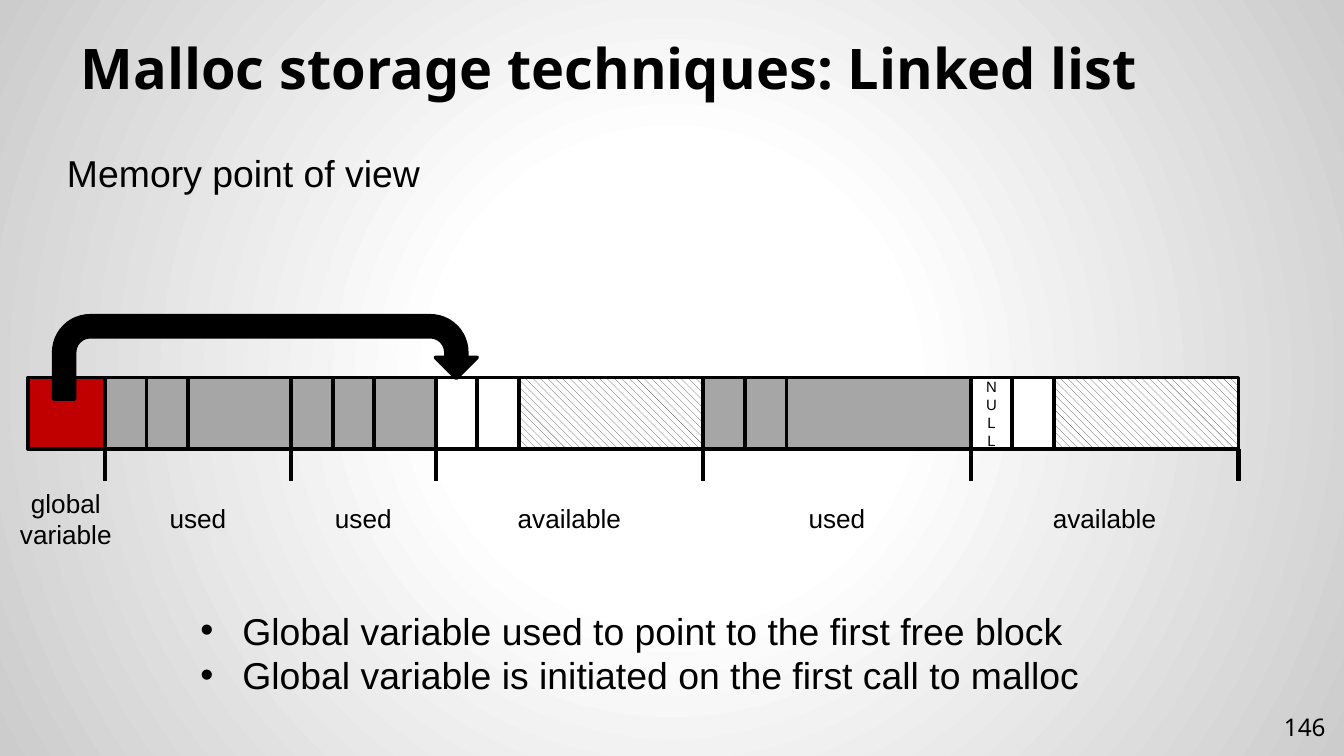
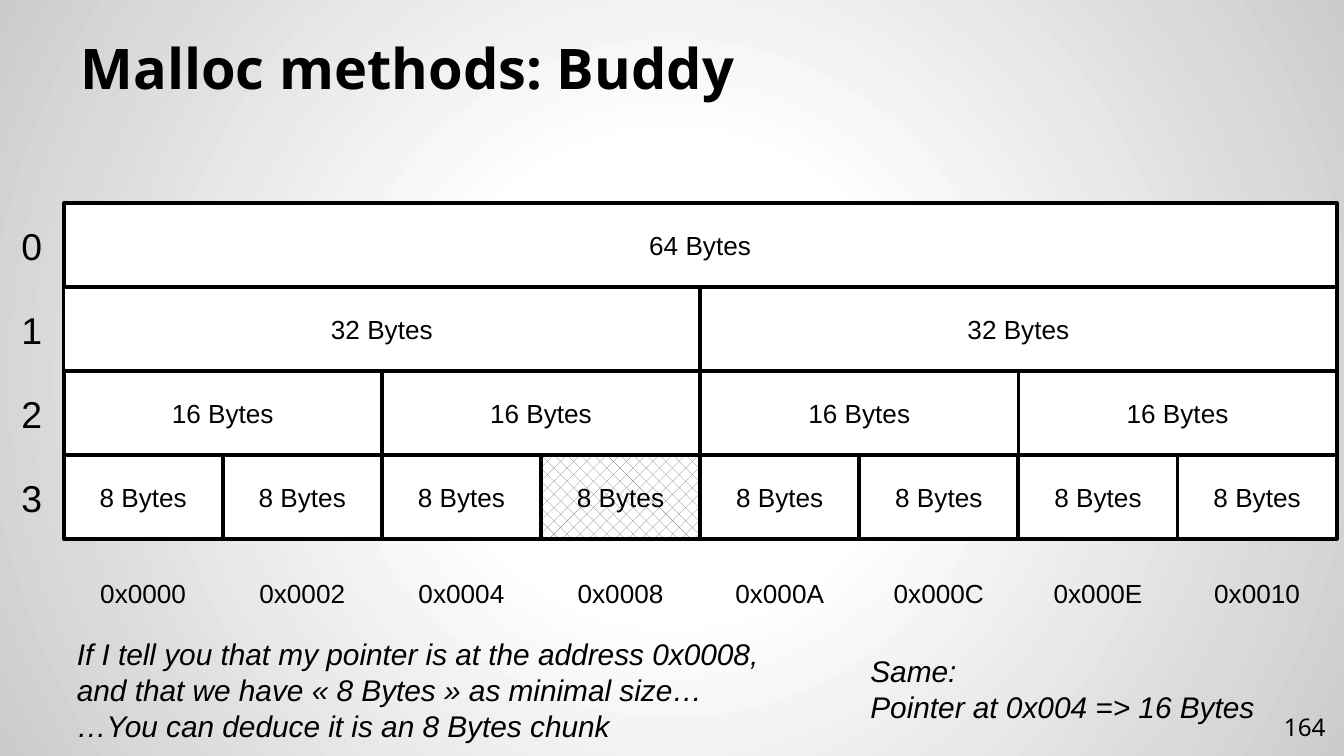
from dataclasses import dataclass

from lxml import etree
from pptx import Presentation
from pptx import util as u
from pptx.dml import color
from pptx.enum import dml, shapes, text
from pptx.oxml import ns

Pt = u.Pt
Rgb = color.RGBColor.from_string
Pat = dml.MSO_PATTERN
Mid = text.MSO_ANCHOR.MIDDLE
Left, Mean, Right = text.PP_ALIGN.LEFT, text.PP_ALIGN.CENTER, text.PP_ALIGN.RIGHT


@dataclass(frozen=True)
class Theme:
    ink: str = "000000"
    white: str = "FFFFFF"
    edge: str = "CCCCCC"
    used: str = "A6A6A6"
    root: str = "C00000"
    hatch: str = "4D4D4D"
    mesh: str = "808080"
    head: str = "Noto Sans"
    body: str = "Arial"
    title: float = 30
    large: float = 20
    note: float = 16
    label: float = 14
    page: float = 13
    tiny: float = 8
    line: float = 2
    tick: float = 2.25


def add(node, tag, **attrs):
    return etree.SubElement(node, ns.qn(tag), **attrs)


class Deck:
    def __init__(self, theme):
        self.theme = theme
        self.prs = Presentation()
        self.prs.slide_width, self.prs.slide_height = Pt(720), Pt(405)
        self.slide = None
        self.paint()

    def paint(self):
        t = self.theme
        master = self.prs.slide_master
        master.background.fill.gradient()
        grad = master.element.find(".//" + ns.qn("a:gradFill"))
        for kid in list(grad):
            grad.remove(kid)
        stops = add(grad, "a:gsLst")
        for pos, tone in ((0, t.white), (30, t.white), (100, t.edge)):
            add(add(stops, "a:gs", pos=str(pos * 1000)), "a:srgbClr", val=tone)
        sides = dict.fromkeys("ltrb", "50000")
        add(add(grad, "a:path", path="circle"), "a:fillToRect", **sides)

    def start(self, layout, title, page):
        t = self.theme
        self.slide = self.prs.slides.add_slide(self.prs.slide_layouts[layout])
        head = self.slide.shapes.title
        self.place(head, 36, 16.5, 648, 44.6)
        self.frame(head, text.MSO_ANCHOR.BOTTOM, 7.2)
        self.say(head, [title], t.title, Left, font=t.head, bold=True)
        foot = self.slide.shapes.add_textbox(Pt(674), Pt(373.8), Pt(43.2), Pt(31))
        self.frame(foot, Mid, 7.2)
        self.say(foot, [page], t.page, Right, font=t.head)

    def place(self, shape, x, y, w, h):
        shape.left, shape.top = Pt(x), Pt(y)
        shape.width, shape.height = Pt(w), Pt(h)

    def frame(self, shape, anchor, pad=3.6):
        box = shape.text_frame
        box.word_wrap = True
        box.auto_size = text.MSO_AUTO_SIZE.NONE
        box.vertical_anchor = anchor
        box.margin_left = box.margin_right = Pt(7.2)
        box.margin_top = box.margin_bottom = Pt(pad)

    def say(self, shape, paras, size, align, font=None, bold=False,
            slant=False, dot=False):
        box = shape.text_frame
        for i, words in enumerate(paras):
            para = box.add_paragraph() if i else box.paragraphs[0]
            para.alignment = align
            para.space_before = Pt(0)
            if dot:
                self.bullet(para)
            for j, part in enumerate(words.split("\n")):
                if j:
                    para.add_line_break()
                run = para.add_run()
                run.text = part
                run.font.name = font or self.theme.body
                run.font.size = Pt(size)
                run.font.bold, run.font.italic = bold, slant
                run.font.color.rgb = Rgb(self.theme.ink)

    def bullet(self, para):
        props = para._p.get_or_add_pPr()
        props.set("marL", str(Pt(22.5)))
        props.set("indent", str(Pt(-22.5)))
        add(add(props, "a:buClr"), "a:srgbClr", val=self.theme.ink)
        add(props, "a:buFont", typeface=self.theme.body)
        add(props, "a:buChar", char="•")

    def text(self, x, y, w, h, words, size, align=Mean,
             anchor=text.MSO_ANCHOR.TOP, slant=False):
        box = self.slide.shapes.add_textbox(Pt(x), Pt(y), Pt(w), Pt(h))
        self.frame(box, anchor)
        self.say(box, [words], size, align, slant=slant)

    def list(self, x, y, w, h, items):
        body = self.slide.placeholders[1]
        self.place(body, x, y, w, h)
        self.frame(body, text.MSO_ANCHOR.TOP)
        self.say(body, items, self.theme.large, Left, dot=True)

    def shape(self, x, y, w, h, tone, words="", size=None, weave=None,
              kind=shapes.MSO_SHAPE.RECTANGLE):
        t = self.theme
        item = self.slide.shapes.add_shape(kind, Pt(x), Pt(y), Pt(w), Pt(h))
        item.shadow.inherit = False
        if weave:
            item.fill.patterned()
            item.fill.pattern = weave
            item.fill.fore_color.rgb = Rgb(tone)
            item.fill.back_color.rgb = Rgb(t.white)
        else:
            item.fill.solid()
            item.fill.fore_color.rgb = Rgb(tone)
        item.line.color.rgb = Rgb(t.ink)
        item.line.width = Pt(t.line)
        if words:
            self.frame(item, Mid)
            self.say(item, [words], size or t.label, Mean)

    def tick(self, x, top, end):
        line = self.slide.shapes.add_connector(
            shapes.MSO_CONNECTOR.STRAIGHT, Pt(x), Pt(top), Pt(x), Pt(end))
        line.line.color.rgb = Rgb(self.theme.ink)
        line.line.width = Pt(self.theme.tick)
        add(line._element.spPr, "a:effectLst")


def linked(deck):
    t = deck.theme
    deck.start(1, "Malloc storage techniques: Linked list", "146")
    top, high, cell = 202.3, 38.2, 22.3
    edges = [56.2, 155.9, 233.4, 376.7, 520, 663.5]
    kinds = ["used", "used", "available", "used", "available"]
    for i, kind in enumerate(kinds):
        x, wide = edges[i], edges[i + 1] - edges[i]
        free = kind == "available"
        weave = Pat.WIDE_DOWNWARD_DIAGONAL if free else None
        deck.shape(x, top, wide, high, t.hatch if free else t.used, weave=weave)
        last = i == len(kinds) - 1
        for k, words in enumerate(("NULL" if last else "", "")):
            deck.shape(x + k * cell, top, cell, high,
                       t.white if free else t.used, words, t.tiny)
        deck.text(x, 265.7, wide, 24.2, kind, t.label)
    deck.text(28.8, 77, 258.5, 31.5, "Memory point of view", t.large, Left)
    deck.shape(15, top, edges[0] - 15, high, t.root)
    deck.text(3.3, 257.5, 64, 41, "global variable", t.label)
    deck.list(100.1, 322, 520.6, 55.7, [
        "Global variable used to point to the first free block",
        "Global variable is initiated on the first call to malloc"])
    deck.shape(28.8, 169.2, 226.8, 44.6, t.ink,
               kind=shapes.MSO_SHAPE.U_TURN_ARROW)
    for x in edges:
        deck.tick(x, top + high, 257.5)


def buddy(deck):
    t = deck.theme
    deck.start(5, "Malloc methods: Buddy", "164")
    left, top, wide, high = 34.1, 108.8, 682, 45
    for level in reversed(range(4)):
        count = 2 ** level
        y, w = top + level * high, wide / count
        for i in range(count):
            hit = (level, i) == (3, 3)
            deck.shape(left + i * w, y, w, high, t.mesh if hit else t.white,
                       f"{64 // count} Bytes",
                       weave=Pat.PERCENT_30 if hit else None)
    for level in range(4):
        deck.text(0, top + level * high + 6.8, left, 31.5, str(level),
                  t.large, anchor=Mid)
    marks = ["0x0000", "0x0002", "0x0004", "0x0008",
             "0x000A", "0x000C", "0x000E", "0x0010"]
    step = wide / len(marks)
    for i, mark in enumerate(marks):
        deck.text(left + i * step, 306, step, 24.2, mark, t.label)
    deck.text(left, 337, 398.9, 65.4,
              "If I tell you that my pointer is at the address 0x0008, "
              "and that we have « 8 Bytes » as minimal size…\n"
              "…You can deduce it is an 8 Bytes chunk",
              t.note, Left, slant=True)
    deck.text(459.2, 346, 224.6, 46, "Same:\nPointer at 0x004 => 16 Bytes",
              t.note, Left, slant=True)


def main():
    deck = Deck(Theme())
    linked(deck)
    buddy(deck)
    deck.prs.save("out.pptx")


if __name__ == "__main__":
    main()
